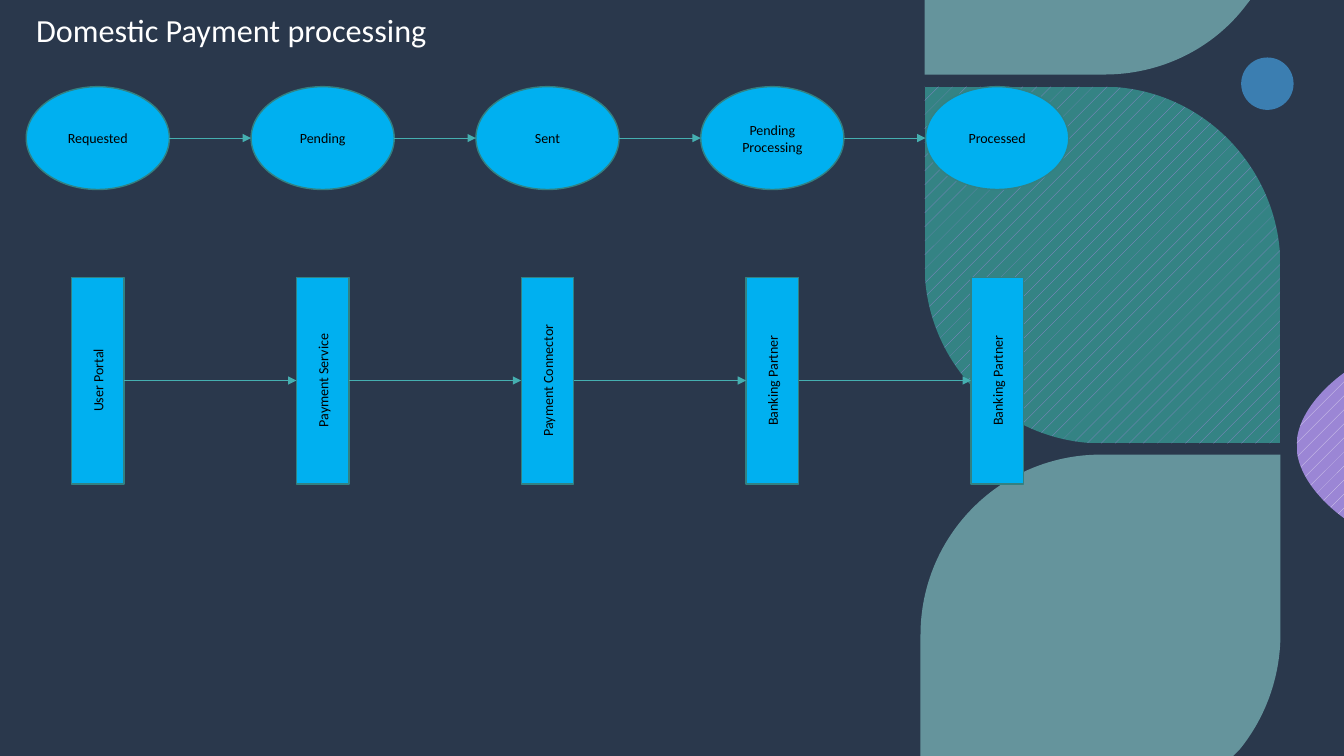
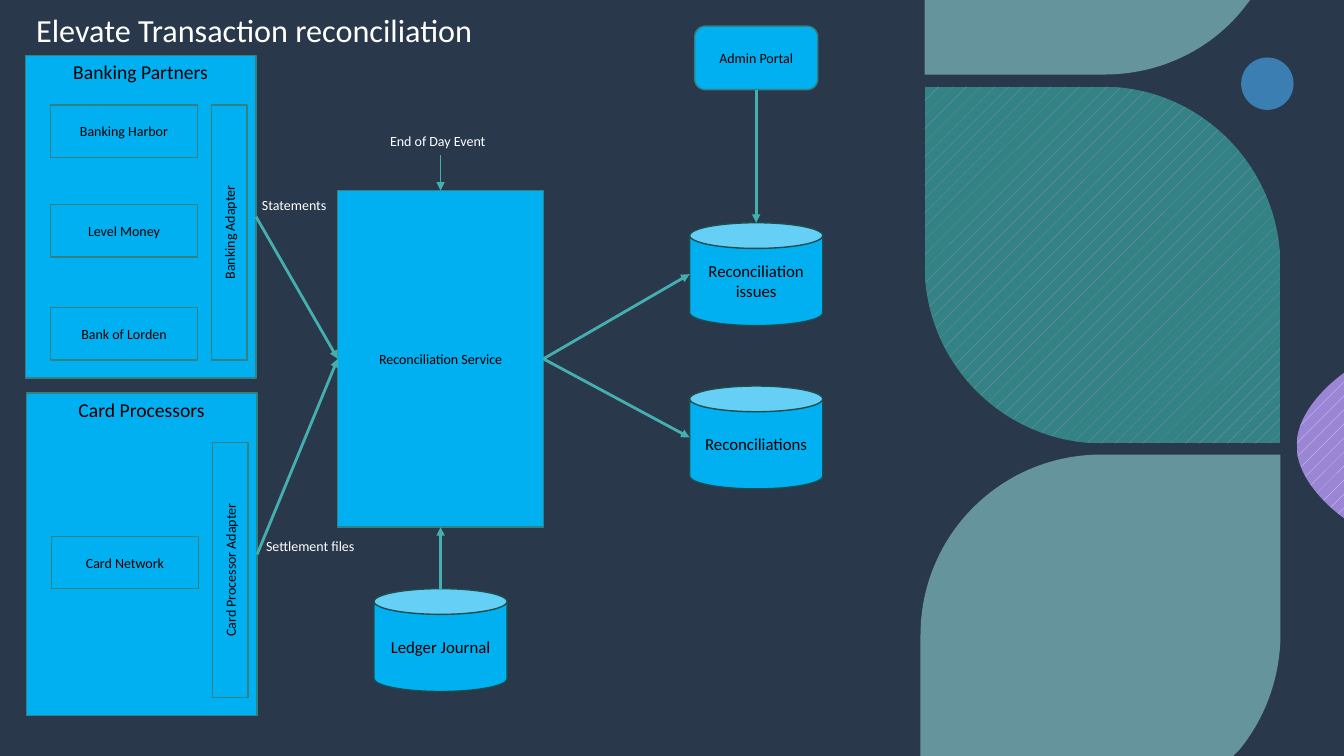
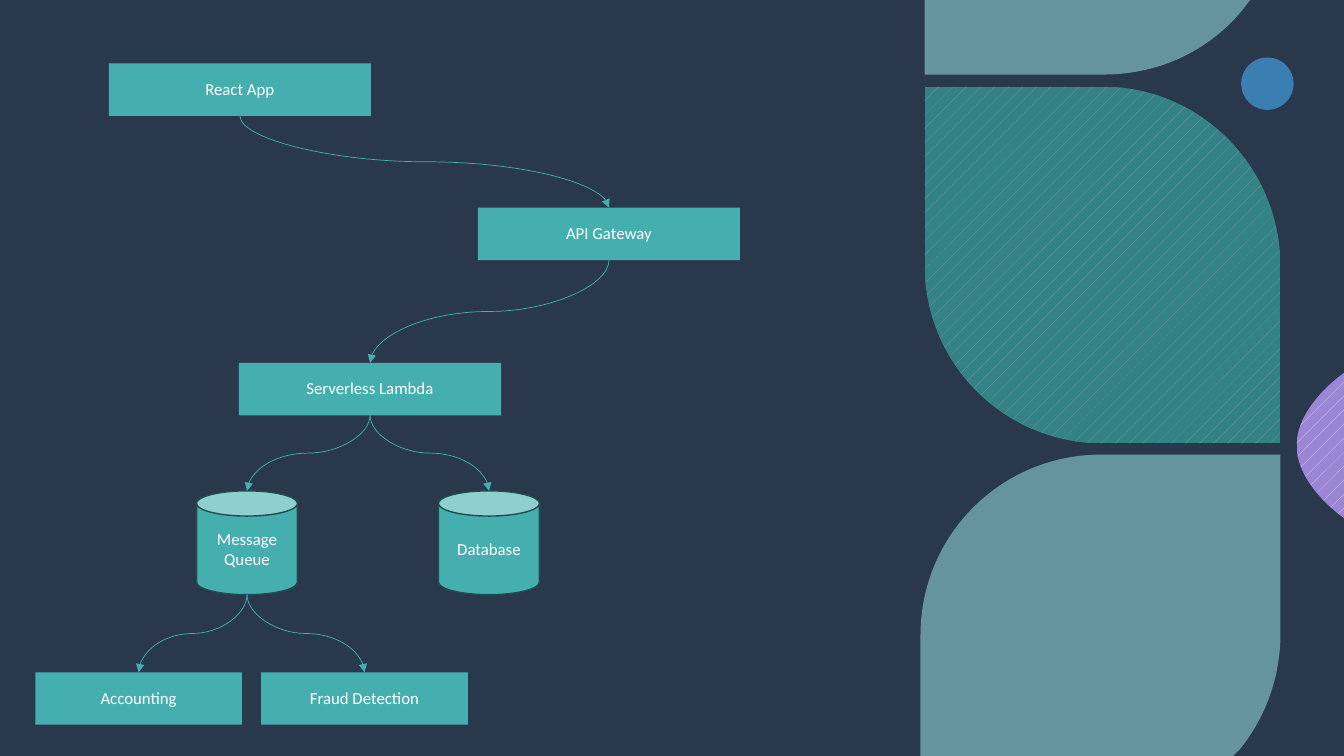
import pptx
import pptx.dml.color
import pptx.enum.dml
import pptx.enum.shapes
import pptx.enum.text
import pptx.oxml.ns
import pptx.util
from lxml import etree

Inches = pptx.util.Inches
Shape = pptx.enum.shapes.MSO_SHAPE
Link = pptx.enum.shapes.MSO_CONNECTOR
Anchor = pptx.enum.text.MSO_ANCHOR
Align = pptx.enum.text.PP_ALIGN
qn = pptx.oxml.ns.qn

WIDE, HIGH = 13.33, 7.5
FONT = "Calibri"
COLORS = {
    "night": "1B2430", "slate": "425876", "blue": "3B7EB1", "mist": "8DD2D2",
    "purple": "9B86D5", "lilac": "DED7F1", "green": "348384", "sky": "00B0F0",
    "edge": "338182", "rim": "1E4D4D", "teal": "45AFB0",
    "white": "FFFFFF", "black": "000000",
}
LEAVES = [
    ([(9.17, 0), (12.4, 0), (12.33, 0.09),
      (12.01, 0.49, 11.51, 0.74, 10.95, 0.74), (9.17, 0.74)], "mist", None),
    ([(10.92, 4.51), (12.7, 4.51), (12.7, 6.29),
      (12.7, 6.72, 12.55, 7.12, 12.3, 7.43), (12.23, 7.5), (9.13, 7.5),
      (9.13, 6.3), (9.13, 5.31, 9.93, 4.51, 10.92, 4.51)], "mist", None),
    ([(13.33, 3.7), (13.33, 5.14), (13.33, 5.14, 12.86, 4.82, 12.86, 4.42),
      (12.86, 4.02, 13.33, 3.7, 13.33, 3.7)], "purple", "lilac"),
    ([(12.7, 4.4), (10.94, 4.4), (9.96, 4.4, 9.17, 3.61, 9.17, 2.63),
      (9.17, 0.86), (10.94, 0.86), (11.91, 0.86, 12.7, 1.66, 12.7, 2.64)],
     "green", "purple"),
]


def color(name):
    return pptx.dml.color.RGBColor.from_string(COLORS[name])


def paint(shape, fill, line=None, alpha=None):
    shape.shadow.inherit = False
    shape.fill.solid()
    shape.fill.fore_color.rgb = color(fill)
    if alpha:
        tint = shape.element.spPr.find(qn("a:solidFill")).find(qn("a:srgbClr"))
        etree.SubElement(tint, qn("a:alpha")).set("val", str(alpha * 1000))
    if line:
        shape.line.color.rgb = color(line)
        shape.line.width = pptx.util.Pt(1)
    else:
        shape.line.fill.background()


def write(shape, text, size, ink, align=None, anchor=Anchor.TOP, tight=False):
    frame = shape.text_frame
    frame.word_wrap = True
    frame.vertical_anchor = anchor
    para = frame.paragraphs[0]
    para.text = text
    para.alignment = align
    para.font.size = pptx.util.Pt(size)
    para.font.name = FONT
    para.font.color.rgb = color(ink)
    if tight:
        para.line_spacing = 0.9


def label(slide, area, text, size=10, anchor=Anchor.TOP, tight=False):
    box = slide.shapes.add_textbox(*map(Inches, area))
    write(box, text, size, "white", Align.LEFT, anchor, tight)


def block(slide, kind, area, text, size=10, fill="sky", line="edge",
          ink="black", anchor=Anchor.MIDDLE, turn=False, tight=False):
    x, y, w, h = area
    if turn:
        x, y, w, h = x + (w - h) / 2, y + (h - w) / 2, h, w
    shape = slide.shapes.add_shape(kind, *map(Inches, (x, y, w, h)))
    shape.rotation = 270 if turn else 0
    paint(shape, fill, line)
    write(shape, text, size, ink, Align.CENTER, anchor, tight)
    return area


def store(slide, area, text, **look):
    return block(slide, Shape.CAN, area, text, 12, line="rim", **look)


def edge(area, side):
    x, y, w, h = area
    return {"left": (x, y + h / 2), "right": (x + w, y + h / 2),
            "top": (x + w / 2, y), "bottom": (x + w / 2, y + h)}[side]


def style(link, width):
    link.line.color.rgb = color("teal")
    link.line.width = pptx.util.Pt(width)
    props = link.element.spPr
    tail = etree.SubElement(props.find(qn("a:ln")), qn("a:tailEnd"))
    tail.set("type", "triangle")
    etree.SubElement(props, qn("a:effectLst"))


def arrow(slide, start, end, width=0.5):
    ends = map(Inches, (*start, *end))
    style(slide.shapes.add_connector(Link.STRAIGHT, *ends), width)


def curve(slide, upper, lower):
    (x1, y1), (x2, y2) = edge(upper, "bottom"), edge(lower, "top")
    mid, level = (x1 + x2) / 2, (y1 + y2) / 2
    right = x2 > x1
    reach = (y2 - y1) / 2 * (-1 if right else 1)
    drop = abs(x2 - x1) / 2
    ends = (mid - reach, level - drop, mid + reach, level + drop)
    link = slide.shapes.add_connector(Link.CURVE, *map(Inches, ends))
    turn = 270 if right else 90
    link.element.spPr.find(qn("a:xfrm")).set("rot", str(turn * 60000))
    style(link, 0.5)


def bend(shape, steps):
    lines = iter(list(shape.element.iter(qn("a:lnTo"))))
    for step in steps:
        parts = [next(lines) for _ in range(len(step) // 2)]
        if len(parts) == 3:
            arc = etree.Element(qn("a:cubicBezTo"))
            parts[0].addprevious(arc)
            for part in parts:
                arc.append(part[0])
                part.getparent().remove(part)


def leaf(slide, steps, fill, hatch):
    first, *rest = [tuple(map(Inches, step[i:i + 2]))
                    for step in steps for i in range(0, len(step), 2)]
    pen = slide.shapes.build_freeform(*first, scale=1.0)
    pen.add_line_segments(rest, close=True)
    shape = pen.convert_to_shape()
    bend(shape, steps[1:])
    paint(shape, fill, alpha=None if hatch else 60)
    if hatch:
        shape.fill.patterned()
        shape.fill.pattern = pptx.enum.dml.MSO_PATTERN.PERCENT_5
        shape.fill.fore_color.rgb = color(hatch)
        shape.fill.back_color.rgb = color(fill)


def start(deck, title=None):
    slide = deck.slides.add_slide(deck.slide_layouts[6])
    slide.background.fill.solid()
    slide.background.fill.fore_color.rgb = color("night")
    veil = slide.shapes.add_shape(
        Shape.RECTANGLE, 0, 0, Inches(WIDE), Inches(HIGH))
    paint(veil, "slate", alpha=40)
    dot = slide.shapes.add_shape(
        Shape.OVAL, *map(Inches, (12.31, 0.57, 0.52, 0.52)))
    paint(dot, "blue")
    for steps, fill, hatch in LEAVES:
        leaf(slide, steps, fill, hatch)
    if title:
        label(slide, (0.26, -0.02, 8.4, 0.56), title, 23, Anchor.BOTTOM, True)
    return slide


def chain(slide, kind, area, names, pitch, turn=False):
    x, y, w, h = area
    areas = [block(slide, kind, (x + i * pitch, y, w, h), name, turn=turn)
             for i, name in enumerate(names)]
    for prior, after in zip(areas, areas[1:]):
        arrow(slide, edge(prior, "right"), edge(after, "left"))


def panel(slide, x, y, title, items, adapter):
    area = block(slide, Shape.RECTANGLE, (x, y, 2.29, 3.2), title, 14,
                 anchor=Anchor.TOP)
    for name, down in items:
        block(slide, Shape.RECTANGLE, (x + 0.25, y + down, 1.46, 0.52), name)
    block(slide, Shape.RECTANGLE, (x + 1.85, y + 0.49, 0.35, 2.53), adapter,
          turn=True)
    return area


def payment(deck):
    slide = start(deck, "Domestic Payment processing")
    chain(slide, Shape.OVAL, (0.26, 0.86, 1.42, 1.02),
          ["Requested", "Pending", "Sent", "Pending Processing", "Processed"],
          2.23)
    chain(slide, Shape.RECTANGLE, (0.71, 2.75, 0.52, 2.05),
          ["User Portal", "Payment Service", "Payment Connector",
           "Banking Partner", "Banking Partner"], 2.23, turn=True)


def match(deck):
    slide = start(deck, "Elevate Transaction reconciliation")
    hub = block(slide, Shape.RECTANGLE, (3.35, 1.89, 2.04, 3.34),
                "Reconciliation Service")
    banks = panel(slide, 0.25, 0.55, "Banking Partners",
                  [("Banking Harbor", 0.49), ("Level Money", 1.48),
                   ("Bank of Lorden", 2.5)], "Banking Adapter")
    cards = panel(slide, 0.26, 3.9, "Card Processors",
                  [("Card Network", 1.42)], "Card Processor Adapter")
    ledger = store(slide, (3.71, 5.84, 1.32, 1.02), "Ledger Journal")
    issues = store(slide, (6.84, 2.21, 1.32, 1.02), "Reconciliation issues")
    done = store(slide, (6.84, 3.83, 1.32, 1.02), "Reconciliations")
    admin = block(slide, Shape.ROUNDED_RECTANGLE, (6.89, 0.26, 1.22, 0.63),
                  "Admin Portal")
    for x, y, text in [(3.77, 1.27, "End of Day Event"),
                       (2.5, 1.9, "Statements"),
                       (2.54, 5.28, "Settlement files")]:
        label(slide, (x, y, 1.21, 0.27), text)
    top = edge(hub, "top")
    arrow(slide, (top[0], 1.54), top)
    for source, out, target, side in [
            (banks, "right", hub, "left"), (cards, "right", hub, "left"),
            (ledger, "top", hub, "bottom"), (hub, "right", done, "left"),
            (hub, "right", issues, "left"), (admin, "bottom", issues, "top")]:
        arrow(slide, edge(source, out), edge(target, side), 2)


def system(deck):
    slide = start(deck)
    look = {"fill": "teal", "ink": "white"}

    def node(x, y, w, text):
        return block(slide, Shape.RECTANGLE, (x, y, w, 0.52), text, 12,
                     line=None, tight=True, **look)

    app = node(1.08, 0.63, 2.6, "React App")
    gate = node(4.74, 2.06, 2.6, "API Gateway")
    serve = node(2.37, 3.6, 2.6, "Serverless Lambda")
    queue = store(slide, (1.95, 4.87, 1, 1.03), "Message Queue", **look)
    data = store(slide, (4.35, 4.87, 1, 1.03), "Database", **look)
    books = node(0.35, 6.67, 2.05, "Accounting")
    fraud = node(2.59, 6.67, 2.05, "Fraud Detection")
    for upper, lower in [(app, gate), (gate, serve), (serve, queue),
                         (serve, data), (queue, books), (queue, fraud)]:
        curve(slide, upper, lower)


def main():
    deck = pptx.Presentation()
    deck.slide_width, deck.slide_height = Inches(WIDE), Inches(HIGH)
    payment(deck)
    match(deck)
    system(deck)
    deck.save("out.pptx")


if __name__ == "__main__":
    main()
